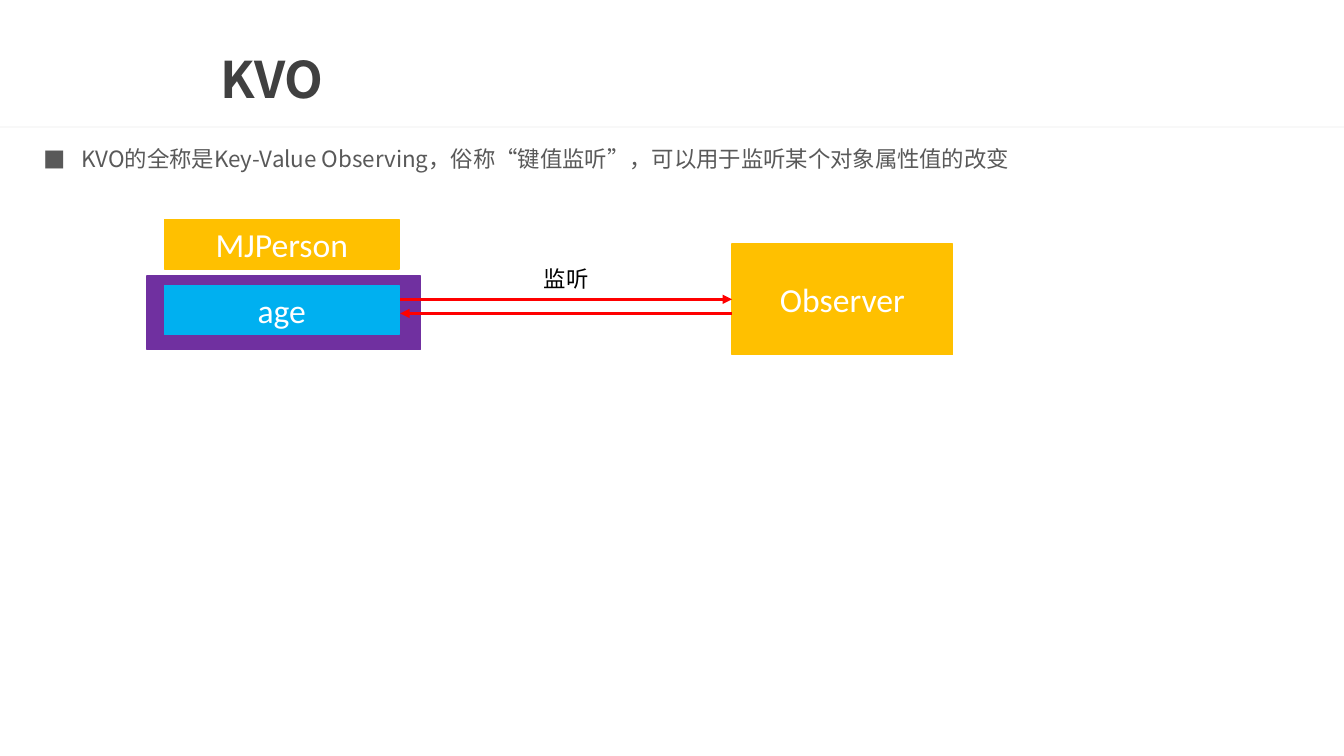
"""Build a slide that explains key-value observing."""
import pptx
import pptx.dml.color
import pptx.enum.shapes
import pptx.enum.text
import pptx.oxml.ns
import pptx.util
from lxml import etree

Inches = pptx.util.Inches
Pt = pptx.util.Pt
RGBColor = pptx.dml.color.RGBColor
Align = pptx.enum.text.PP_ALIGN
Anchor = pptx.enum.text.MSO_ANCHOR
RECTANGLE = pptx.enum.shapes.MSO_SHAPE.RECTANGLE
STRAIGHT = pptx.enum.shapes.MSO_CONNECTOR.STRAIGHT
qn = pptx.oxml.ns.qn

RULE = RGBColor(0xEA, 0xEA, 0xEA)
TITLE = RGBColor(0x40, 0x40, 0x40)
BODY = RGBColor(0x59, 0x59, 0x59)
BLACK = RGBColor(0x00, 0x00, 0x00)
WHITE = RGBColor(0xFF, 0xFF, 0xFF)
PURPLE = RGBColor(0x70, 0x30, 0xA0)
AMBER = RGBColor(0xFF, 0xC0, 0x00)
BLUE = RGBColor(0x00, 0xB0, 0xF0)
RED = RGBColor(0xFF, 0x00, 0x00)


def write(box, text, *, font, size, color, bold=False, align=Align.LEFT,
          anchor=Anchor.MIDDLE, spacing=None, bullet=None, indent=0.38):
    frame = box.text_frame
    frame.word_wrap = True
    frame.auto_size = pptx.enum.text.MSO_AUTO_SIZE.NONE
    frame.vertical_anchor = anchor
    para = frame.paragraphs[0]
    para.alignment = align
    if spacing is not None:
        para.line_spacing = spacing
    if bullet:
        properties = para._p.get_or_add_pPr()
        properties.set("marL", str(Inches(indent)))
        properties.set("indent", str(-Inches(indent)))
        etree.SubElement(properties, qn("a:buFont"), typeface=font)
        etree.SubElement(properties, qn("a:buChar"), char=bullet)
    span = para.add_run()
    span.text = text
    span.font.name = font
    span.font.size = Pt(size)
    span.font.bold = bold
    span.font.color.rgb = color
    etree.SubElement(span._r.get_or_add_rPr(), qn("a:ea"), typeface=font)


class Slide:
    """Holds the fonts and the current slide."""

    text_font = "Noto Sans CJK SC"
    label_font = "Calibri"
    label_size = 24
    text_size = 16

    def __init__(self, deck):
        self.page = deck.slides.add_slide(deck.slide_layouts[5])

    def title(self, text, left, top, width, height):
        box = self.page.shapes.title
        box.left, box.top = Inches(left), Inches(top)
        box.width, box.height = Inches(width), Inches(height)
        write(box, text, font=self.text_font, size=36, color=TITLE,
              bold=True, spacing=0.9)

    def rectangle(self, left, top, width, height, color, label=None,
                  parent=None, opacity=None):
        shapes = (parent or self.page).shapes
        box = shapes.add_shape(RECTANGLE, Inches(left), Inches(top),
                               Inches(width), Inches(height))
        box.shadow.inherit = False
        box.fill.solid()
        box.fill.fore_color.rgb = color
        if opacity is None:
            box.line.color.rgb = color
            box.line.width = Pt(1)
        else:
            box.line.fill.background()
            tint = box._element.spPr.find(".//" + qn("a:srgbClr"))
            etree.SubElement(tint, qn("a:alpha"), val=str(opacity * 1000))
        if label:
            write(box, label, font=self.label_font, size=self.label_size,
                  color=WHITE, align=Align.CENTER)

    def text(self, text, left, top, width, height, **style):
        box = self.page.shapes.add_textbox(Inches(left), Inches(top),
                                           Inches(width), Inches(height))
        write(box, text, font=self.text_font, size=self.text_size,
              spacing=Pt(22), **style)

    def arrow(self, start, end, y):
        line = self.page.shapes.add_connector(
            STRAIGHT, Inches(start), Inches(y), Inches(end), Inches(y))
        line.line.color.rgb = RED
        line.line.width = Pt(2.25)
        etree.SubElement(line.line._get_or_add_ln(), qn("a:tailEnd"),
                         type="triangle")
        etree.SubElement(line._element.spPr, qn("a:effectLst"))


def main():
    deck = pptx.Presentation()
    deck.slide_width, deck.slide_height = Inches(13.33), Inches(7.5)
    slide = Slide(deck)
    slide.rectangle(0, 1.25, 13.33, 0.02, RULE, opacity=32)
    slide.title("KVO", 2.09, 0.43, 11.03, 0.78)
    slide.text("KVO的全称是Key-Value Observing，俗称“键值监听”，可以用于监听某个对象属性值的改变",
               0.33, 1.35, 12.69, 0.52, color=BODY, anchor=Anchor.TOP, bullet="■")

    person = slide.page.shapes.add_group_shape()
    slide.rectangle(1.46, 2.74, 2.71, 0.73, PURPLE, parent=person)
    for label, top, color in (("MJPerson", 2.18, AMBER), ("age", 2.83, BLUE)):
        slide.rectangle(1.63, top, 2.33, 0.49, color, label, person)

    slide.rectangle(7.26, 2.42, 2.19, 1.1, AMBER, "Observer")
    age_edge, observer_edge = 3.97, 7.26
    slide.arrow(age_edge, observer_edge, 2.97)
    slide.arrow(observer_edge, age_edge, 3.11)
    slide.text("监听", 5.04, 2.56, 1.15, 0.37, color=BLACK, align=Align.CENTER)
    deck.save("out.pptx")


if __name__ == "__main__":
    main()
